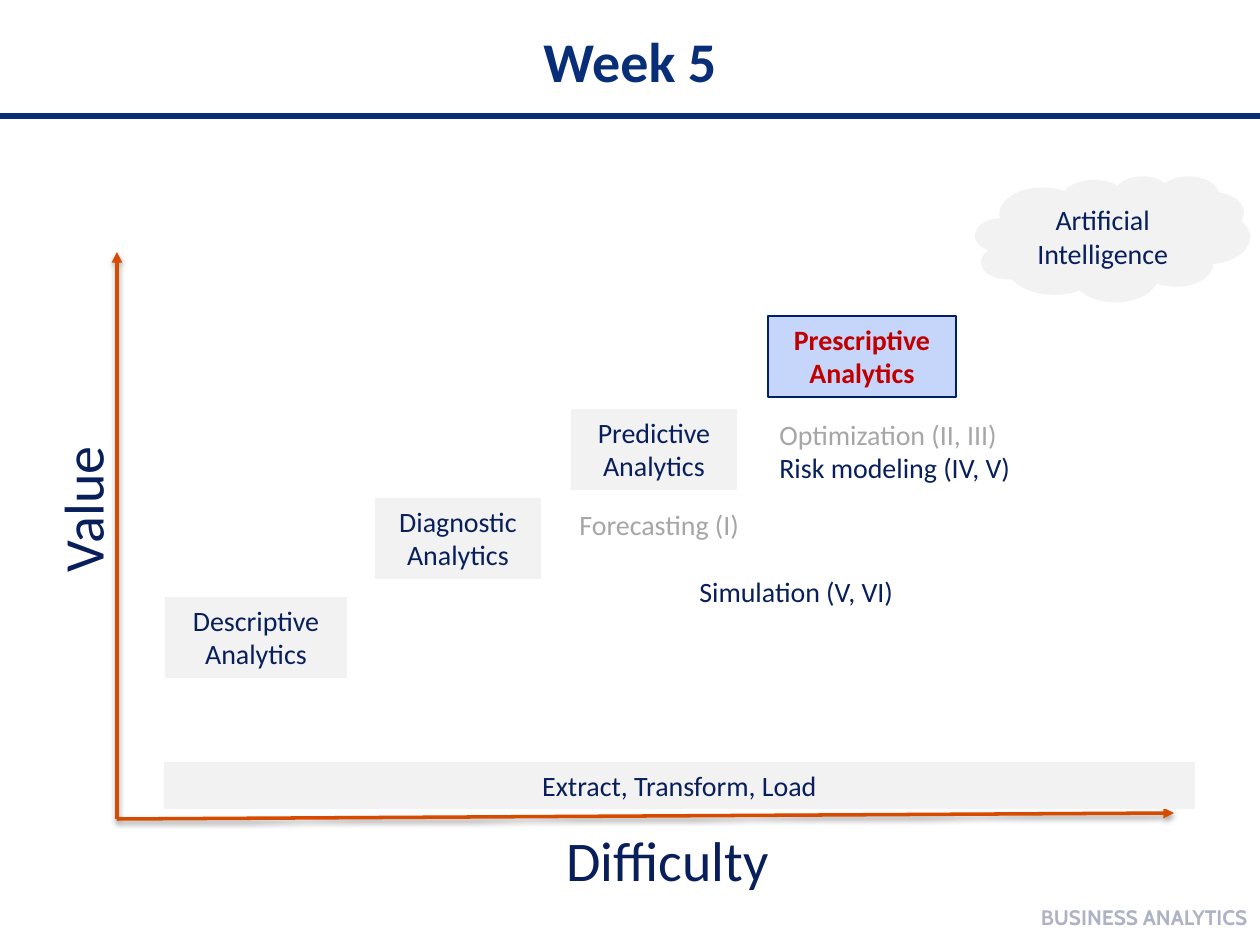
from dataclasses import dataclass

from lxml import etree
from pptx import Presentation
from pptx.dml.color import RGBColor
from pptx.enum.shapes import MSO_CONNECTOR, MSO_SHAPE
from pptx.enum.text import MSO_ANCHOR, PP_ALIGN
from pptx.oxml.ns import qn
from pptx.util import Emu, Pt

LEFT, CENTER, RIGHT = PP_ALIGN.LEFT, PP_ALIGN.CENTER, PP_ALIGN.RIGHT
TOP, MIDDLE = MSO_ANCHOR.TOP, MSO_ANCHOR.MIDDLE
RECT, CLOUD = MSO_SHAPE.RECTANGLE, MSO_SHAPE.CLOUD
STRAIGHT = MSO_CONNECTOR.STRAIGHT

PX_PER_INCH = 126
NAVY, TITLE_BLUE, ORANGE = "081F5B", "092E78", "D64B00"
PALE, MUTED, FOOTER_GREY = "F2F2F2", "A6A6A6", "ADB3C4"


@dataclass
class Label:
    lines: list[tuple[str, str]]
    x: int
    y: int
    w: int
    h: int
    size: int = 16
    bold: bool = False
    font: str = "Calibri"
    align: PP_ALIGN = LEFT
    anchor: MSO_ANCHOR = TOP
    rotation: int = 0


@dataclass
class Box:
    label: Label
    fill: str = PALE
    outline: str = ""
    kind: MSO_SHAPE = RECT


@dataclass
class Line:
    x1: int
    y1: int
    x2: int
    y2: int
    color: str
    width: int
    arrow: bool = False


def px(n: int) -> Emu:
    return Emu(round(n * 914400 / PX_PER_INCH))


def rgb(color: str) -> RGBColor:
    return RGBColor.from_string(color)


def write(sp, label: Label) -> None:
    tf = sp.text_frame
    tf.word_wrap = True
    tf.vertical_anchor = label.anchor
    tf.text = "\n".join(text for text, _ in label.lines)
    for p, (_, color) in zip(tf.paragraphs, label.lines):
        p.alignment = label.align
        for r in p.runs:
            r.font.name = label.font
            r.font.size = Pt(label.size)
            r.font.bold = label.bold
            r.font.color.rgb = rgb(color)


def draw_label(s, label: Label) -> None:
    sp = s.shapes.add_textbox(px(label.x), px(label.y), px(label.w), px(label.h))
    sp.rotation = label.rotation
    write(sp, label)


def draw_box(s, box: Box) -> None:
    b = box.label
    sp = s.shapes.add_shape(box.kind, px(b.x), px(b.y), px(b.w), px(b.h))
    sp.shadow.inherit = False
    sp.fill.solid()
    sp.fill.fore_color.rgb = rgb(box.fill)
    if box.outline:
        sp.line.color.rgb = rgb(box.outline)
        sp.line.width = Pt(0.75)
    else:
        sp.line.fill.background()
    write(sp, b)


def draw_line(s, line: Line) -> None:
    sp = s.shapes.add_connector(
        STRAIGHT, px(line.x1), px(line.y1), px(line.x2), px(line.y2))
    sp.line.color.rgb = rgb(line.color)
    sp.line.width = Pt(line.width)
    effects = etree.SubElement(sp._element.spPr, qn("a:effectLst"))
    if line.arrow:
        etree.SubElement(sp.line._get_or_add_ln(), qn("a:tailEnd"), type="triangle")
        shadow = etree.SubElement(
            effects, qn("a:outerShdw"), blurRad=str(Pt(3.1)), dist=str(Pt(1.6)),
            dir="5400000", rotWithShape="0")
        color = etree.SubElement(shadow, qn("a:srgbClr"), val="000000")
        etree.SubElement(color, qn("a:alpha"), val="38000")


def stage(text: str, x: int, y: int, w: int, h: int = 81, color: str = NAVY,
          bold: bool = False, anchor: MSO_ANCHOR = TOP) -> Label:
    return Label([(text, color)], x, y, w, h, bold=bold, align=CENTER, anchor=anchor)


LINES = [
    Line(0, 116, 1260, 116, TITLE_BLUE, 3),
    Line(117, 819, 117, 252, ORANGE, 2, arrow=True),
    Line(117, 819, 1174, 813, ORANGE, 2, arrow=True),
]

BOXES = [
    Box(stage("Descriptive Analytics", 165, 597, 182)),
    Box(stage("Diagnostic Analytics", 375, 498, 166)),
    Box(stage("Predictive Analytics", 571, 409, 166)),
    Box(stage("Prescriptive Analytics", 768, 316, 188, color="C00000", bold=True),
        fill="C6D5FA", outline="002060"),
    Box(stage("Extract, Transform, Load", 164, 762, 1031, 47)),
    Box(stage("Artificial Intelligence", 975, 176, 275, 126, anchor=MIDDLE), kind=CLOUD),
]

LABELS = [
    Label([("BUSINESS ANALYTICS", FOOTER_GREY)], 840, 892, 420, 50, size=12,
          bold=True, font="Cabin", align=RIGHT, anchor=MIDDLE),
    Label([("Week 5", TITLE_BLUE)], 63, 21, 1134, 79, size=32, bold=True,
          align=CENTER, anchor=MIDDLE),
    Label([("Value", NAVY)], -6, 456, 176, 81, size=32, rotation=270),
    Label([("Difficulty", NAVY)], 554, 819, 427, 81, size=32),
    Label([("Forecasting (I)", MUTED)], 567, 501, 244, 81),
    Label([("Optimization (II, III)", MUTED), ("Risk modeling (IV, V)", NAVY)],
          767, 411, 292, 149),
    Label([("Simulation (V, VI)", NAVY)], 687, 568, 292, 47),
]


def main() -> None:
    prs = Presentation()
    prs.slide_width, prs.slide_height = px(1260), px(945)
    s = prs.slides.add_slide(prs.slide_layouts[6])
    for line in LINES:
        draw_line(s, line)
    for box in BOXES:
        draw_box(s, box)
    for label in LABELS:
        draw_label(s, label)
    prs.save("out.pptx")


if __name__ == "__main__":
    main()
